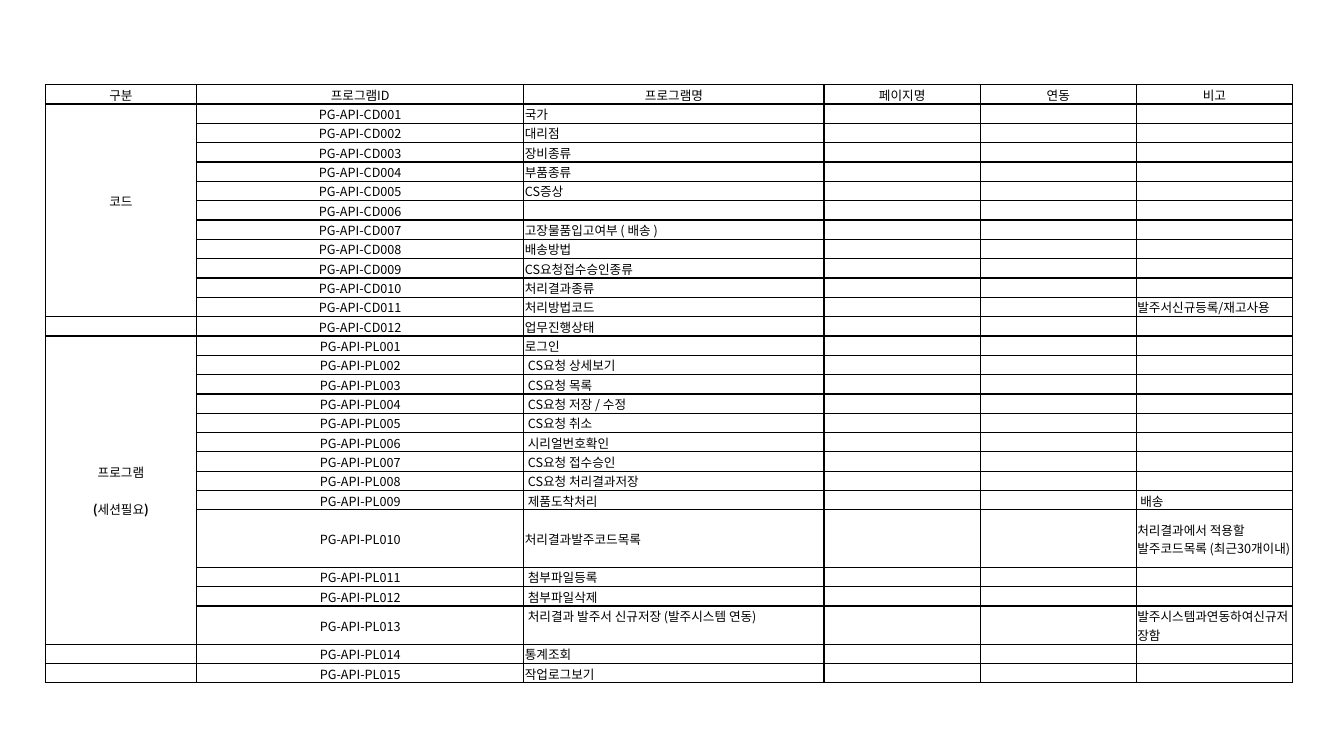
from dataclasses import dataclass

from lxml import etree
from pptx import Presentation
from pptx import util as u
from pptx.dml.color import RGBColor
from pptx.enum import text
from pptx.oxml import ns


@dataclass(frozen=True)
class Theme:
    """Colours, type and line sizes of the slide."""
    font: str = "Noto Sans CJK KR"
    size: float = 9
    ink: str = "000000"
    paper: str = "FFFFFF"
    border: float = 1
    inset: float = 0.01
    indent: float = 0.04
    line: float = 0.19


T = Theme()
HEADERS = ["구분", "프로그램ID", "프로그램명", "페이지명", "연동", "비고"]
COL_WIDTHS = [1.5, 3.25, 2.98, 1.55, 1.55, 1.55]
CODES = ["국가", "대리점", "장비종류", "부품종류", "CS증상", "",
         "고장물품입고여부 ( 배송 )", "배송방법", "CS요청접수승인종류",
         "처리결과종류", "처리방법코드", "업무진행상태"]
PROGRAMS = ["로그인", "CS요청 상세보기", "CS요청 목록", "CS요청 저장 / 수정",
            "CS요청 취소", "시리얼번호확인", "CS요청 접수승인",
            "CS요청 처리결과저장", "제품도착처리", "처리결과발주코드목록",
            "첨부파일등록", "첨부파일삭제",
            "처리결과 발주서 신규저장 (발주시스템 연동)", "통계조회", "작업로그보기"]
FLUSH_PROGRAMS = {1, 10, 14, 15}
NOTES = {"PG-API-CD011": "발주서신규등록/재고사용",
         "PG-API-PL009": "배송",
         "PG-API-PL010": "처리결과에서 적용할 발주코드목록 (최근30개이내)",
         "PG-API-PL013": "발주시스템과연동하여신규저장함"}
ROW_LINES = {"PG-API-PL010": 3, "PG-API-PL013": 2}


def put_text(p, *parts, align=text.PP_ALIGN.LEFT, after=0):
    """Write (text, bold) parts into a paragraph, or size it when empty."""
    p.alignment = align
    p.space_after = u.Pt(after)
    for words, bold in parts:
        r = p.add_run()
        r.text = words
        r.font.size, r.font.bold = u.Pt(T.size), bold
        r.font.color.rgb = RGBColor.from_string(T.ink)
        r.font.name = T.font
        etree.SubElement(r.font._element, ns.qn("a:ea"), typeface=T.font)
    if not parts:
        etree.SubElement(p._p, ns.qn("a:endParaRPr"), sz=str(int(T.size * 100)))


def style_cell(cell):
    """Give a cell its insets, borders and fill."""
    cell.vertical_anchor = text.MSO_ANCHOR.MIDDLE
    cell.margin_left = cell.margin_right = cell.margin_top = u.Inches(T.inset)
    cell.margin_bottom = 0
    tcPr = cell._tc.get_or_add_tcPr()
    for side in "LRTB":
        ln = etree.SubElement(tcPr, ns.qn(f"a:ln{side}"), w=str(u.Pt(T.border)))
        fill = etree.SubElement(ln, ns.qn("a:solidFill"))
        etree.SubElement(fill, ns.qn("a:srgbClr"), val=T.ink)
    cell.fill.solid()
    cell.fill.fore_color.rgb = RGBColor.from_string(T.paper)


def program_rows():
    """Return the body rows as (id, name, note, indented)."""
    rows = []
    for prefix, names in (("CD", CODES), ("PL", PROGRAMS)):
        for n, name in enumerate(names, 1):
            key = f"PG-API-{prefix}{n:03d}"
            indented = prefix == "PL" and n not in FLUSH_PROGRAMS
            rows.append((key, name, NOTES.get(key, ""), indented))
    return rows


def add_groups(tbl):
    """Merge and label the two group cells of the first column."""
    center = text.PP_ALIGN.CENTER
    codes, programs = tbl.cell(1, 0), tbl.cell(13, 0)
    codes.merge(tbl.cell(11, 0))
    programs.merge(tbl.cell(25, 0))
    put_text(codes.text_frame.paragraphs[0], ("코드", False), align=center)
    codes.margin_bottom = u.Inches(T.line)
    tf = programs.text_frame
    put_text(tf.paragraphs[0], ("프로그램", False), align=center, after=13.3)
    put_text(tf.add_paragraph(), ("(", True), ("세션필요", False), (")", True),
             align=center)


def add_program_table(s, left, top, width):
    """Place the program list in the given box."""
    rows = program_rows()
    frame = s.shapes.add_table(len(rows) + 1, len(HEADERS), u.Inches(left),
                               u.Inches(top), u.Inches(width),
                               u.Inches(T.line * (len(rows) + 1)))
    tbl = frame.table
    tbl.first_row = tbl.horz_banding = False
    for col, share in zip(tbl.columns, COL_WIDTHS):
        col.width = u.Inches(width * share / sum(COL_WIDTHS))
    grid = [HEADERS] + [["", key, name, "", "", note]
                        for key, name, note, _ in rows]
    groups = {(1, 0), (13, 0)}
    for i, line in enumerate(grid):
        tbl.rows[i].height = u.Inches(T.line * ROW_LINES.get(line[1], 1))
        for j, words in enumerate(line):
            cell = tbl.cell(i, j)
            style_cell(cell)
            if (i, j) in groups:
                continue
            align = (text.PP_ALIGN.CENTER if i == 0 or j == 1
                     else text.PP_ALIGN.LEFT)
            parts = [(words, False)] if words else []
            put_text(cell.text_frame.paragraphs[0], *parts, align=align)
    for i, (key, _, note, indented) in enumerate(rows, 1):
        if indented:
            tbl.cell(i, 2).margin_left = u.Inches(T.indent)
        if note == "배송":
            tbl.cell(i, 5).margin_left = u.Inches(T.indent)
        if key == "PG-API-PL013":
            tbl.cell(i, 2).vertical_anchor = text.MSO_ANCHOR.TOP
    add_groups(tbl)


def main():
    """Build and save the slide."""
    prs = Presentation()
    prs.slide_width, prs.slide_height = u.Inches(13.33), u.Inches(7.5)
    s = prs.slides.add_slide(prs.slide_layouts[6])
    add_program_table(s, 0.45, 0.84, 12.37)
    prs.save("out.pptx")


main()
